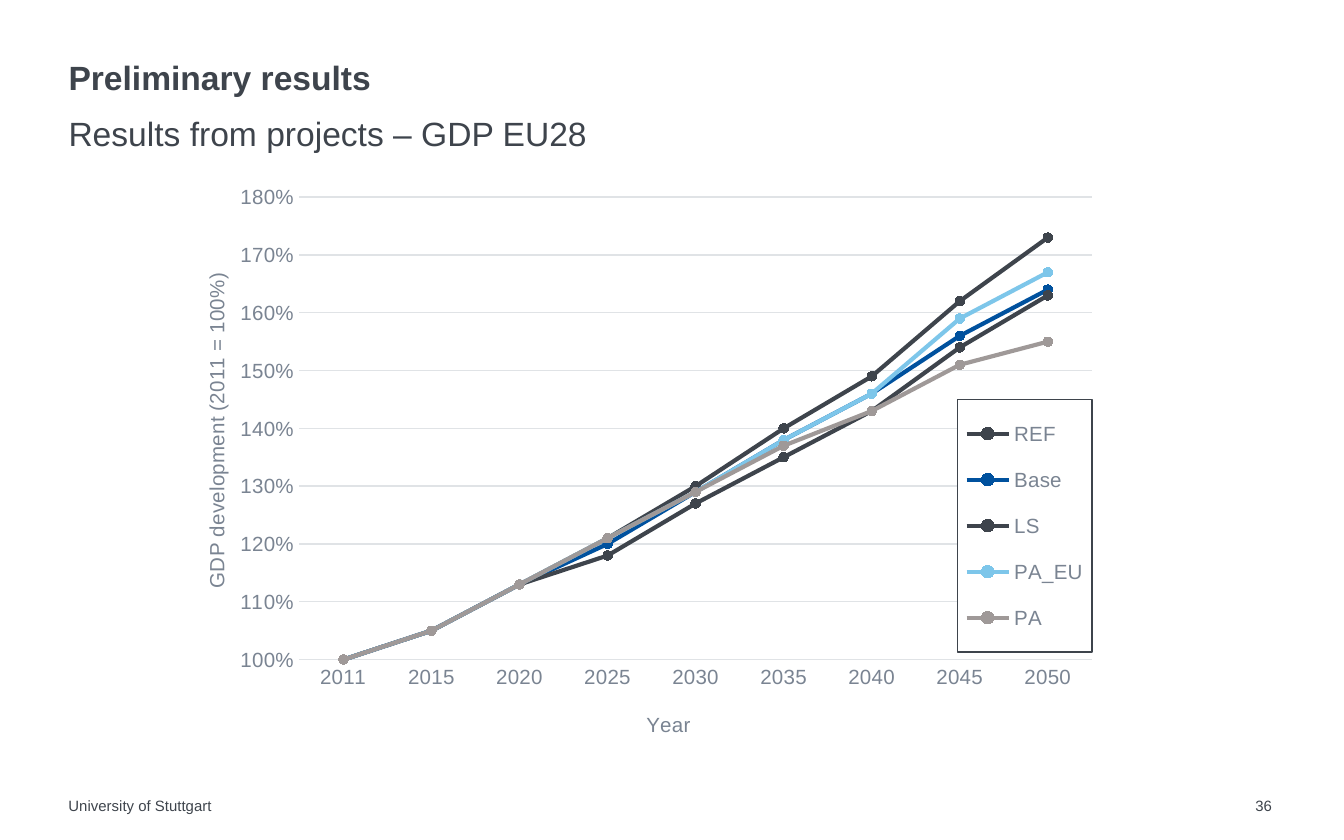
from lxml import etree
from pptx import Presentation
from pptx.chart.data import CategoryChartData
from pptx.dml.color import RGBColor
from pptx.enum.chart import XL_CHART_TYPE, XL_LEGEND_POSITION, XL_MARKER_STYLE, XL_TICK_MARK
from pptx.enum.text import MSO_ANCHOR
from pptx.oxml import parse_xml
from pptx.oxml.ns import nsdecls
from pptx.util import Inches, Pt

LINE_MARKERS = XL_CHART_TYPE.LINE_MARKERS
LEGEND_RIGHT = XL_LEGEND_POSITION.RIGHT
CIRCLE = XL_MARKER_STYLE.CIRCLE
NO_TICK = XL_TICK_MARK.NONE
TOP, BOTTOM = MSO_ANCHOR.TOP, MSO_ANCHOR.BOTTOM
FONT = "Arial"
DARK, MUTED, PALE = "3E444C", "7A8492", "E0E3E6"


def style_font(font, size, color, bold=False):
    font.name, font.size, font.bold = FONT, Pt(size), bold
    font.color.rgb = RGBColor.from_string(color)


def manual_layout(x, y, width=None, height=None):
    """Return a chart layout element; all values are shares of the chart's size."""
    layout = parse_xml(f"<c:layout {nsdecls('c')}><c:manualLayout/></c:layout>")
    entries = [("xMode", "edge"), ("yMode", "edge"), ("x", x), ("y", y)]
    if width:
        entries = [("layoutTarget", "inner")] + entries + [("w", width), ("h", height)]
    for name, value in entries:
        etree.SubElement(layout[0], layout.tag.replace("layout", name)).set("val", str(value))
    return layout


deck = Presentation()
deck.slide_width, deck.slide_height = Inches(10), Inches(6.25)
page = deck.slides.add_slide(deck.slide_layouts[6])

# Heading, subheading and footer
MARGIN, FOOTER_TOP = 0.51, 5.93
texts = [
    ("Preliminary results", MARGIN, 0.43, 8.98, 0.3, 18, True, BOTTOM, 0.9),
    ("Results from projects – GDP EU28", MARGIN, 0.78, 8.98, 0.3, 18, False, TOP, 1.2),
    ("University of Stuttgart", MARGIN, FOOTER_TOP, 6.63, 0.14, 8, False, TOP, 1.0),
    ("36", 9.34, FOOTER_TOP, 0.24, 0.14, 8, False, TOP, 1.0),
]
for text, left, top, width, height, size, bold, anchor, spacing in texts:
    box = page.shapes.add_textbox(Inches(left), Inches(top), Inches(width), Inches(height))
    frame = box.text_frame
    frame.word_wrap = True
    frame.vertical_anchor = anchor
    frame.margin_left = frame.margin_right = frame.margin_top = frame.margin_bottom = 0
    para = frame.paragraphs[0]
    para.line_spacing = spacing
    span = para.add_run()
    span.text = text
    style_font(span.font, size, DARK, bold)

# GDP by scenario
scenarios = [
    ("REF", DARK, (1, 1.05, 1.13, 1.21, 1.3, 1.4, 1.49, 1.62, 1.73)),
    ("Base", "00519E", (1, 1.05, 1.13, 1.2, 1.29, 1.38, 1.46, 1.56, 1.64)),
    ("LS", DARK, (1, 1.05, 1.13, 1.18, 1.27, 1.35, 1.43, 1.54, 1.63)),
    ("PA_EU", "7DC6EA", (1, 1.05, 1.13, 1.21, 1.29, 1.38, 1.46, 1.59, 1.67)),
    ("PA", "9F9998", (1, 1.05, 1.13, 1.21, 1.29, 1.37, 1.43, 1.51, 1.55)),
]
data = CategoryChartData(number_format="0%")
data.categories = ["2011"] + [str(year) for year in range(2015, 2051, 5)]
for name, color, values in scenarios:
    data.add_series(name, values)
chart = page.shapes.add_chart(
    LINE_MARKERS, Inches(1.41), Inches(1.22), Inches(6.88), Inches(4.34), data
).chart
chart.has_title = False
style_font(chart.font, 11, DARK)
chart.plots[0].vary_by_categories = False

for series, (name, color, values) in zip(chart.plots[0].series, scenarios):
    rgb = RGBColor.from_string(color)
    series.smooth = False
    series.format.line.width = Pt(2.25)
    series.format.line.color.rgb = rgb
    series.marker.style, series.marker.size = CIRCLE, 5
    series.marker.format.fill.solid()
    series.marker.format.fill.fore_color.rgb = rgb
    series.marker.format.line.color.rgb = rgb

years, growth = chart.category_axis, chart.value_axis
for axis, title, x, y in [
    (years, "Year", 0.49, 0.93),
    (growth, "GDP development (2011 = 100%)", 0.01, 0.18),
]:
    axis.major_tick_mark = axis.minor_tick_mark = NO_TICK
    style_font(axis.tick_labels.font, 11, MUTED)
    span = axis.axis_title.text_frame.paragraphs[0].add_run()
    span.text = title
    style_font(span.font, 11, MUTED)
    heading = axis.axis_title._element
    for layout in heading.findall("{*}layout"):
        heading.remove(layout)
    heading.find("{*}tx").addnext(manual_layout(x, y))

growth.minimum_scale, growth.maximum_scale, growth.major_unit = 1, 1.8, 0.1
growth.tick_labels.number_format = "0%"
growth.tick_labels.number_format_is_linked = False
growth.format.line.fill.background()
growth.has_major_gridlines = True
for line in (years.format.line, growth.major_gridlines.format.line):
    line.color.rgb = RGBColor.from_string(PALE)
    line.width = Pt(0.75)

plot_area = chart._chartSpace.chart.plotArea
for layout in plot_area.findall("{*}layout"):
    plot_area.remove(layout)
plot_area.insert(0, manual_layout(0.119, 0.057, 0.857, 0.793))

# Framed legend over the lower right of the plot
chart.has_legend = True
legend = chart.legend
legend.position = LEGEND_RIGHT
legend.include_in_layout = False
style_font(legend.font, 11, MUTED)
legend_xml = legend._element
for layout in legend_xml.findall("{*}layout"):
    legend_xml.remove(layout)
legend_layout = manual_layout(0.831, 0.404, 0.145, 0.433)
legend_layout[0].remove(legend_layout[0][0])
legend_xml.find("{*}legendPos").addnext(legend_layout)
legend_xml.find("{*}overlay").addnext(parse_xml(
    f'<c:spPr {nsdecls("c", "a")}><a:solidFill><a:srgbClr val="FFFFFF"/></a:solidFill>'
    f'<a:ln w="9525"><a:solidFill><a:srgbClr val="{DARK}"/></a:solidFill></a:ln></c:spPr>'
))

deck.save("out.pptx")
